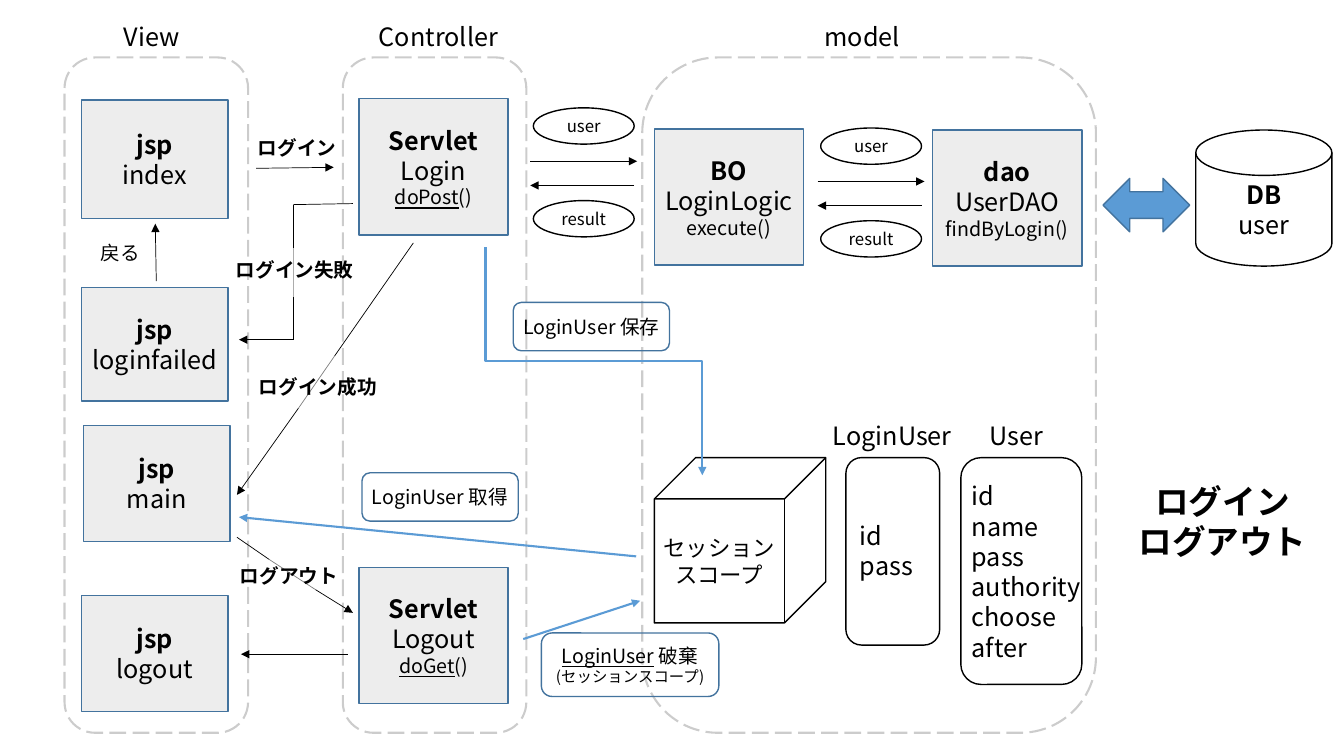
"""Draw the login and logout flow across the View, Controller and model lanes."""
from dataclasses import dataclass
from itertools import pairwise

import pptx
import pptx.util
import pptx.dml.color
import pptx.enum.dml
import pptx.enum.shapes
import pptx.enum.text
import pptx.oxml.ns
from lxml import etree

Inches, Pt = pptx.util.Inches, pptx.util.Pt
KIND = pptx.enum.shapes.MSO_SHAPE
ALIGN = pptx.enum.text.PP_ALIGN
ANCHOR = pptx.enum.text.MSO_ANCHOR
CONNECTOR = pptx.enum.shapes.MSO_CONNECTOR
FONT = "Noto Sans CJK JP"
COLORS = {"ink": "000000", "card": "EDEDED", "edge": "43739E", "blue": "5B9BD5", "white": "FFFFFF"}


@dataclass
class Para:
    text: str
    size: float = 18
    bold: bool = False
    underlined: str = ""


@dataclass
class Node:
    kind: int
    x: float
    y: float
    w: float
    h: float
    paras: tuple[Para, ...] = ()
    fill: str | None = None
    line: str = "ink"


@dataclass
class Label:
    x: float
    y: float
    w: float
    h: float
    paras: tuple[Para, ...]
    align: int = ALIGN.LEFT


@dataclass
class Route:
    points: tuple[tuple[float, float], ...]
    color: str = "ink"
    width: float = 0.5
    faint: int | None = None


def rgb(name: str) -> pptx.dml.color.RGBColor:
    return pptx.dml.color.RGBColor.from_string(COLORS[name])


def add_tag(parent: etree._Element, tag: str, **attrs: str) -> None:
    el = etree.SubElement(parent, pptx.oxml.ns.qn(tag))
    for key, value in attrs.items():
        el.set(key, value)


def style_line(sp, color: str, width: float, alpha: int = 100) -> None:
    sp.line.color.rgb = rgb(color)
    sp.line.width = Pt(width)
    if alpha < 100:
        clr = sp.line._ln.find(".//" + pptx.oxml.ns.qn("a:srgbClr"))
        add_tag(clr, "a:alpha", val=str(alpha * 1000))


def write(tf, paras: tuple[Para, ...], align: int) -> None:
    tf.word_wrap = True
    for i, para in enumerate(paras):
        p = tf.paragraphs[0] if i == 0 else tf.add_paragraph()
        p.alignment = align
        p.font.size, p.font.bold, p.font.name = Pt(para.size), para.bold, FONT
        p.font.color.rgb = rgb("ink")
        add_tag(p._p.pPr.find(pptx.oxml.ns.qn("a:defRPr")), "a:ea", typeface=FONT)
        if para.underlined:
            r = p.add_run()
            r.text = para.underlined
            r.font.underline = True
        p.add_run().text = para.text


def draw_node(s, node: Node):
    sp = s.shapes.add_shape(node.kind, Inches(node.x), Inches(node.y), Inches(node.w), Inches(node.h))
    sp.shadow.inherit = False
    if node.fill:
        sp.fill.solid()
        sp.fill.fore_color.rgb = rgb(node.fill)
    else:
        sp.fill.background()
    style_line(sp, node.line, 1)
    tf = sp.text_frame
    tf.margin_left = tf.margin_right = tf.margin_top = tf.margin_bottom = 0
    tf.vertical_anchor = ANCHOR.MIDDLE
    write(tf, node.paras, ALIGN.CENTER)
    return sp


def draw_label(s, label: Label) -> None:
    sp = s.shapes.add_textbox(Inches(label.x), Inches(label.y), Inches(label.w), Inches(label.h))
    write(sp.text_frame, label.paras, label.align)


def draw_connector(s, kind: int, start: tuple[float, float], end: tuple[float, float],
                   color: str, width: float, alpha: int = 100, arrow: bool = True):
    sp = s.shapes.add_connector(kind, *(Inches(v) for v in start + end))
    style_line(sp, color, width, alpha)
    if arrow:
        add_tag(sp.line._ln, "a:tailEnd", type="triangle")
    add_tag(sp._element.spPr, "a:effectLst")
    return sp


def draw_route(s, route: Route) -> None:
    last = len(route.points) - 2
    for i, (start, end) in enumerate(pairwise(route.points)):
        alpha = 50 if i == route.faint else 100
        draw_connector(s, CONNECTOR.STRAIGHT, start, end, route.color, route.width, alpha, i == last)


def card(x: float, y: float, w: float, h: float, title: str, name: str, *method: Para) -> Node:
    return Node(KIND.RECTANGLE, x, y, w, h, (Para(title, bold=True), Para(name), *method), "card", "edge")


def pill(x: float, y: float, w: float, h: float, *paras: Para) -> Node:
    return Node(KIND.ROUNDED_RECTANGLE, x, y, w, h, paras, line="edge")


def lines(*texts: str, size: float = 18, bold: bool = False) -> tuple[Para, ...]:
    return tuple(Para(text, size, bold) for text in texts)


LANES = [(0.64, 1.82), (3.4, 1.82), (6.37, 4.5)]
NODES = [
    card(0.81, 0.99, 1.45, 1.18, "jsp", "index"),
    card(0.81, 2.85, 1.45, 1.13, "jsp", "loginfailed"),
    card(0.83, 4.22, 1.45, 1.15, "jsp", "main"),
    card(0.81, 5.91, 1.45, 1.15, "jsp", "logout"),
    card(3.56, 0.98, 1.48, 1.35, "Servlet", "Login", Para("()", 14, underlined="doPost")),
    card(3.56, 5.63, 1.48, 1.35, "Servlet", "Logout", Para("()", 14, underlined="doGet")),
    card(6.49, 1.28, 1.48, 1.35, "BO", "LoginLogic", Para("execute()", 14)),
    card(9.25, 1.29, 1.48, 1.35, "dao", "UserDAO", Para("findByLogin()", 14)),
    Node(KIND.FLOWCHART_MAGNETIC_DISK, 11.86, 1.29, 1.35, 1.35,
         (Para("DB", bold=True), Para("user")), "white"),
    Node(KIND.LEFT_RIGHT_ARROW, 10.94, 1.77, 0.86, 0.53, fill="blue", line="edge"),
    Node(KIND.CUBE, 6.49, 4.54, 1.7, 1.64, lines("セッション", "スコープ", size=16)),
    Node(KIND.ROUNDED_RECTANGLE, 8.39, 4.54, 0.93, 1.86),
    Node(KIND.ROUNDED_RECTANGLE, 9.53, 4.54, 1.2, 2.25),
    pill(5.09, 3, 1.55, 0.48, Para("LoginUser 保存", 14)),
    pill(3.59, 4.69, 1.55, 0.48, Para("LoginUser 取得", 14)),
    pill(5.37, 6.28, 1.76, 0.63, Para(" 破棄", 14, underlined="LoginUser"), Para("(セッションスコープ)", 11)),
]
MESSAGES = [(5.29, 1.07), (8.14, 1.27)]
LABELS = [
    Label(1.13, 0.16, 0.87, 0.4, lines("View")),
    Label(3.66, 0.16, 1.57, 0.4, lines("Controller")),
    Label(8.08, 0.16, 1.1, 0.4, lines("model")),
    Label(8.04, 4.12, 1.62, 0.4, lines("LoginUser"), ALIGN.CENTER),
    Label(9.62, 4.12, 0.92, 0.4, lines("User"), ALIGN.CENTER),
    Label(8.43, 5.11, 0.83, 0.71, lines("id", "pass")),
    Label(9.54, 4.72, 1.5, 1.92, lines("id", "name", "pass", "authority", "choose", "after")),
    Label(0.9, 2.34, 0.7, 0.34, lines("戻る", size=14)),
    Label(2.46, 1.3, 1.1, 0.34, lines("ログイン", size=14, bold=True)),
    Label(2.24, 2.51, 1.42, 0.34, lines("ログイン失敗", size=14, bold=True)),
    Label(2.47, 3.67, 1.42, 0.34, lines("ログイン成功", size=14, bold=True)),
    Label(2.28, 5.55, 1.21, 0.34, lines("ログアウト", size=14, bold=True)),
    Label(11.01, 4.72, 2.23, 0.91, lines("ログイン", "ログアウト", size=24, bold=True), ALIGN.CENTER),
]
ROUTES = [
    Route(((2.54, 1.67), (3.31, 1.66))),
    Route(((1.55, 2.79), (1.54, 2.22))),
    Route(((3.5, 2.02), (2.91, 2.03), (2.91, 2.46), (2.91, 2.95), (2.91, 3.37), (2.37, 3.37)), faint=2),
    Route(((4.1, 2.41), (3.32, 3.53), (2.96, 4.05), (2.35, 4.91)), faint=1),
    Route(((2.35, 5.33), (2.67, 5.55), (3.13, 5.85), (3.5, 6.08)), faint=1),
    Route(((3.45, 6.49), (2.39, 6.49))),
    Route(((6.31, 5.52), (2.37, 5.13)), "blue", 1.5),
    Route(((5.19, 6.34), (6.35, 5.96)), "blue", 1.5),
]

prs = pptx.Presentation()
prs.slide_width, prs.slide_height = Inches(13.33), Inches(7.5)
s = prs.slides.add_slide(prs.slide_layouts[6])
for x, w in LANES:
    lane = draw_node(s, Node(KIND.FLOWCHART_ALTERNATE_PROCESS, x, 0.57, w, 6.7))
    style_line(lane, "ink", 1.5, 20)
    lane.line.dash_style = pptx.enum.dml.MSO_LINE.LONG_DASH
for node in NODES:
    draw_node(s, node)
for x, y in MESSAGES:
    for text, dy in (("user", 0), ("result", 0.92)):
        draw_node(s, Node(KIND.OVAL, x, y + dy, 1, 0.36, lines(text, size=12)))
    draw_route(s, Route(((x - 0.03, y + 0.53), (x + 1.03, y + 0.53))))
    draw_route(s, Route(((x + 1, y + 0.77), (x - 0.03, y + 0.77))))
for label in LABELS:
    draw_label(s, label)
for route in ROUTES:
    draw_route(s, route)
save_path = draw_connector(s, CONNECTOR.ELBOW, (7.02, 2.51), (4.76, 4.66), "blue", 1.5)
save_path._element.spPr.xfrm.set("rot", str(270 * 60000))
prs.save("out.pptx")
